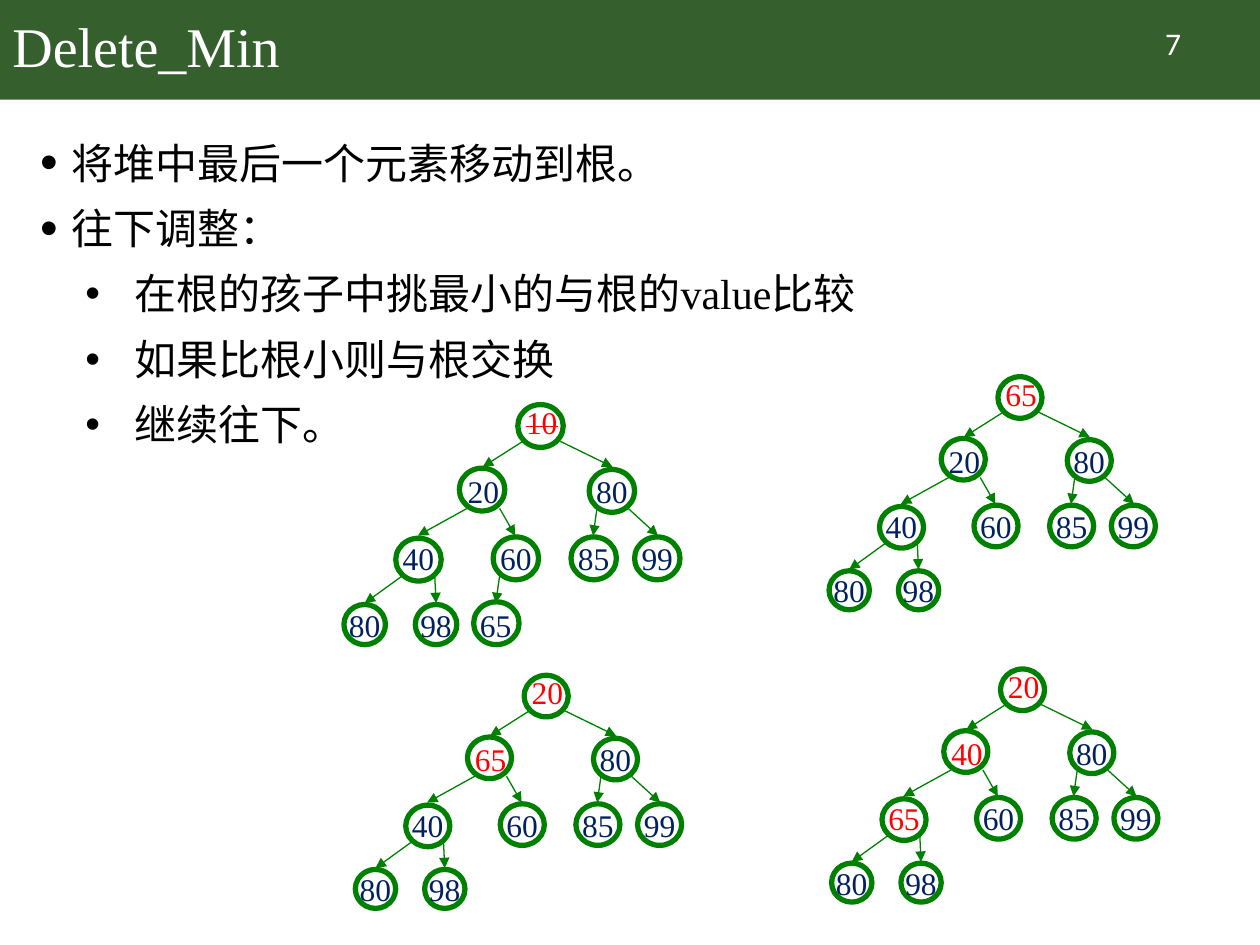
import pptx
import pptx.util
import pptx.dml.color
import pptx.enum.shapes
import pptx.enum.text
import pptx.oxml
import pptx.oxml.ns
from lxml import etree

Inches, Pt = pptx.util.Inches, pptx.util.Pt
SHAPE = pptx.enum.shapes.MSO_SHAPE
ALIGN = pptx.enum.text.PP_ALIGN
MIDDLE = pptx.enum.text.MSO_ANCHOR.MIDDLE

HUES = {"band": "365F2E", "white": "FFFFFF", "black": "000000",
        "green": "008000", "navy": "002060", "red": "FF0000"}
SERIF, HAN, SANS = "Times New Roman", "Noto Sans CJK SC", "Calibri"

# Tree layout, measured from the top left of the root
NODES = {"root": (0, 0), "left": (-0.45, 0.53), "right": (0.54, 0.53),
         "ll": (-0.95, 1.05), "lr": (-0.2, 1.05),
         "rl": (0.4, 1.05), "rr": (0.89, 1.05),
         "lll": (-1.35, 1.57), "llr": (-0.8, 1.57), "lrl": (-0.34, 1.57)}
RINGS = {"root": (-0.01, 0.03), "left": (-0.46, 0.52),
         "ll": (-0.95, 1.06), "lrl": (-0.35, 1.55)}
EDGES = {"left": (0.05, 0.3, -0.28, 0.51), "right": (0.29, 0.3, 0.72, 0.51),
         "ll": (-0.4, 0.83, -0.78, 1.04), "lr": (-0.15, 0.83, -0.03, 1.04),
         "rl": (0.6, 0.83, 0.57, 1.04), "rr": (0.84, 0.83, 1.07, 1.04),
         "lll": (-0.9, 1.35, -1.19, 1.56), "llr": (-0.65, 1.35, -0.64, 1.56),
         "lrl": (-0.15, 1.35, -0.18, 1.56)}
BIG, SMALL = (0.35, 0.33), (0.32, 0.31)

# Left, top, scale, values in the order of NODES, red nodes
TREES = [
    (4.12, 3.18, 1.03, "10 20 80 40 60 85 99 80 98 65", ["root"]),
    (7.93, 2.96, 1, "65 20 80 40 60 85 99 80 98", ["root"]),
    (4.17, 5.33, 1, "20 65 80 40 60 85 99 80 98", ["root", "left"]),
    (7.95, 5.28, 1, "20 40 80 65 60 85 99 80 98", ["root", "left", "ll"]),
]

POINTS = [
    (0, [("将堆中最后一个元素移动到根。", HAN)]),
    (0, [("往下调整：", HAN)]),
    (1, [("在根的孩子中挑最小的与根的", HAN), ("value", SERIF), ("比较", HAN)]),
    (1, [("如果比根小则与根交换", HAN)]),
    (1, [("继续往下。", HAN)]),
]
# Left margin, hanging indent and bullet size of each level
LEVELS = [(0.25, -0.25, 120), (0.75, -0.39, 100)]


def hue(name):
    return pptx.dml.color.RGBColor.from_string(HUES[name])


def add_run(para, text, size, font, color):
    run = para.add_run()
    run.text = text
    run.font.size = Pt(size)
    run.font.name = font
    run.font.color.rgb = hue(color)
    if font == HAN:
        tag = pptx.oxml.ns.qn("a:ea")
        etree.SubElement(run._r.get_or_add_rPr(), tag).set("typeface", font)
    return run


def add_box(slide, left, top, width, height):
    box = slide.shapes.add_textbox(Inches(left), Inches(top),
                                   Inches(width), Inches(height))
    box.text_frame.word_wrap = True
    return box.text_frame


def add_bullet(para, level):
    left, hang, size = LEVELS[level]
    props = para._p.get_or_add_pPr()
    props.set("marL", str(Inches(left)))
    props.set("indent", str(Inches(hang)))
    color = etree.SubElement(props, pptx.oxml.ns.qn("a:buClr"))
    etree.SubElement(color, pptx.oxml.ns.qn("a:srgbClr")).set("val", HUES["black"])
    for tag, key, value in (("a:buSzPct", "val", str(size * 1000)),
                            ("a:buFont", "typeface", "Arial"),
                            ("a:buChar", "char", "•")):
        etree.SubElement(props, pptx.oxml.ns.qn(tag)).set(key, value)


def add_list(slide):
    frame = add_box(slide, 0.22, 0.92, 9.57, 6.43)
    for num, (level, runs) in enumerate(POINTS):
        para = frame.paragraphs[0] if num == 0 else frame.add_paragraph()
        para.level = level
        para.line_spacing = Pt(37.4)
        add_bullet(para, level)
        for text, font in runs:
            add_run(para, text, 24, font, "black")


def add_oval(group, left, top, size, ring):
    oval = group.shapes.add_shape(SHAPE.OVAL, Inches(left), Inches(top),
                                  Inches(size[0]), Inches(size[1]))
    oval.shadow.inherit = False
    oval.fill.background()
    if ring:
        oval.line.color.rgb = hue("green")
        oval.line.width = Pt(3)
    else:
        oval.line.fill.background()
    return oval


def add_value(oval, text, color):
    frame = oval.text_frame
    frame.word_wrap = False
    frame.vertical_anchor = MIDDLE
    frame.margin_left = frame.margin_right = 0
    frame.margin_top = frame.margin_bottom = 0
    para = frame.paragraphs[0]
    para.alignment = ALIGN.CENTER
    return add_run(para, text, 18, SERIF, color)


def add_arrow(group, ends):
    line = group.shapes.add_connector(pptx.enum.shapes.MSO_CONNECTOR.STRAIGHT,
                                      *[Inches(end) for end in ends])
    line.line.color.rgb = hue("green")
    line.line.width = Pt(0.75)
    head = etree.SubElement(line.line._get_or_add_ln(), pptx.oxml.ns.qn("a:tailEnd"))
    head.set("type", "triangle")
    etree.SubElement(line._element.spPr, pptx.oxml.ns.qn("a:effectLst"))


def add_tree(slide, left, top, scale, values, reds):
    group = slide.shapes.add_group_shape()
    runs = {}

    def place(x, y):
        return left + x * scale, top + y * scale

    def grow(size):
        return [side * scale for side in size]

    # Values, with the outline where no separate ring is laid on top
    for name, text in zip(NODES, values.split()):
        size = SMALL if name in ("lll", "llr", "lrl") else BIG
        oval = add_oval(group, *place(*NODES[name]), grow(size), name not in RINGS)
        runs[name] = add_value(oval, text, "red" if name in reds else "navy")
    # Arrows from parent to child
    for name, (x1, y1, x2, y2) in EDGES.items():
        if name in runs:
            add_arrow(group, place(x1, y1) + place(x2, y2))
    # Separate rings
    for name, spot in RINGS.items():
        if name in runs:
            add_oval(group, *place(*spot), grow(BIG), True)
    return runs


def add_head(slide):
    band = slide.shapes.add_shape(SHAPE.RECTANGLE, 0, 0, Inches(10), Inches(0.79))
    band.shadow.inherit = False
    band.fill.solid()
    band.fill.fore_color.rgb = hue("band")
    band.line.fill.background()
    title = add_box(slide, 0, 0, 8.62, 0.79)
    title.vertical_anchor = MIDDLE
    title.paragraphs[0].line_spacing = 0.9
    add_run(title.paragraphs[0], "Delete_Min", 32, SERIF, "white")
    page = add_box(slide, 8.71, 0.14, 1.2, 0.4).paragraphs[0]
    page.alignment = ALIGN.CENTER
    add_run(page, "7", 18, SANS, "white")


def main():
    deck = pptx.Presentation()
    deck.slide_width, deck.slide_height = Inches(10), Inches(7.5)
    slide = deck.slides.add_slide(deck.slide_layouts[6])
    add_head(slide)
    add_list(slide)
    trees = [add_tree(slide, *tree) for tree in TREES]
    # The deleted minimum is struck out
    trees[0]["root"]._r.get_or_add_rPr().set("strike", "sngStrike")
    deck.save("out.pptx")


if __name__ == "__main__":
    main()
